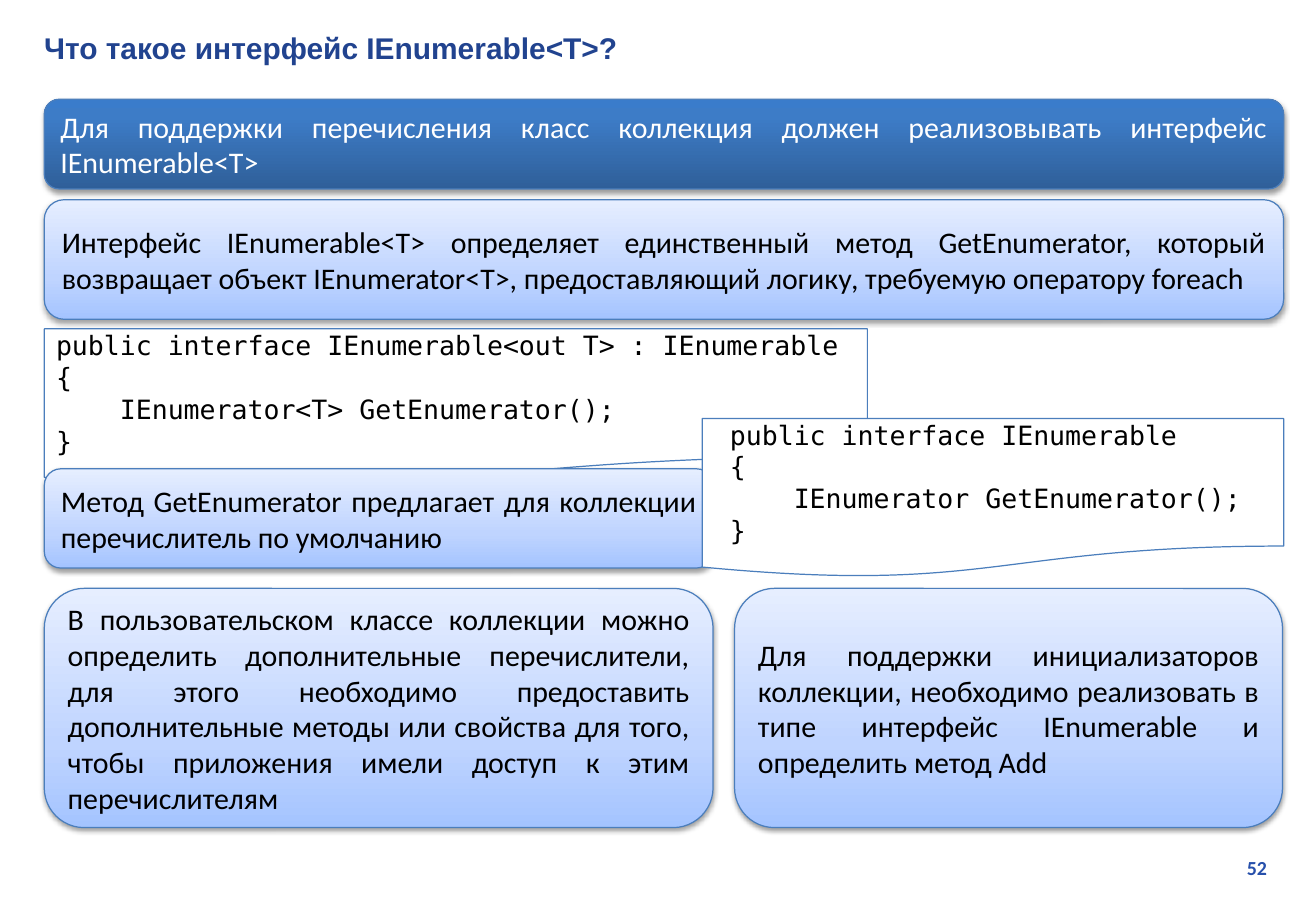
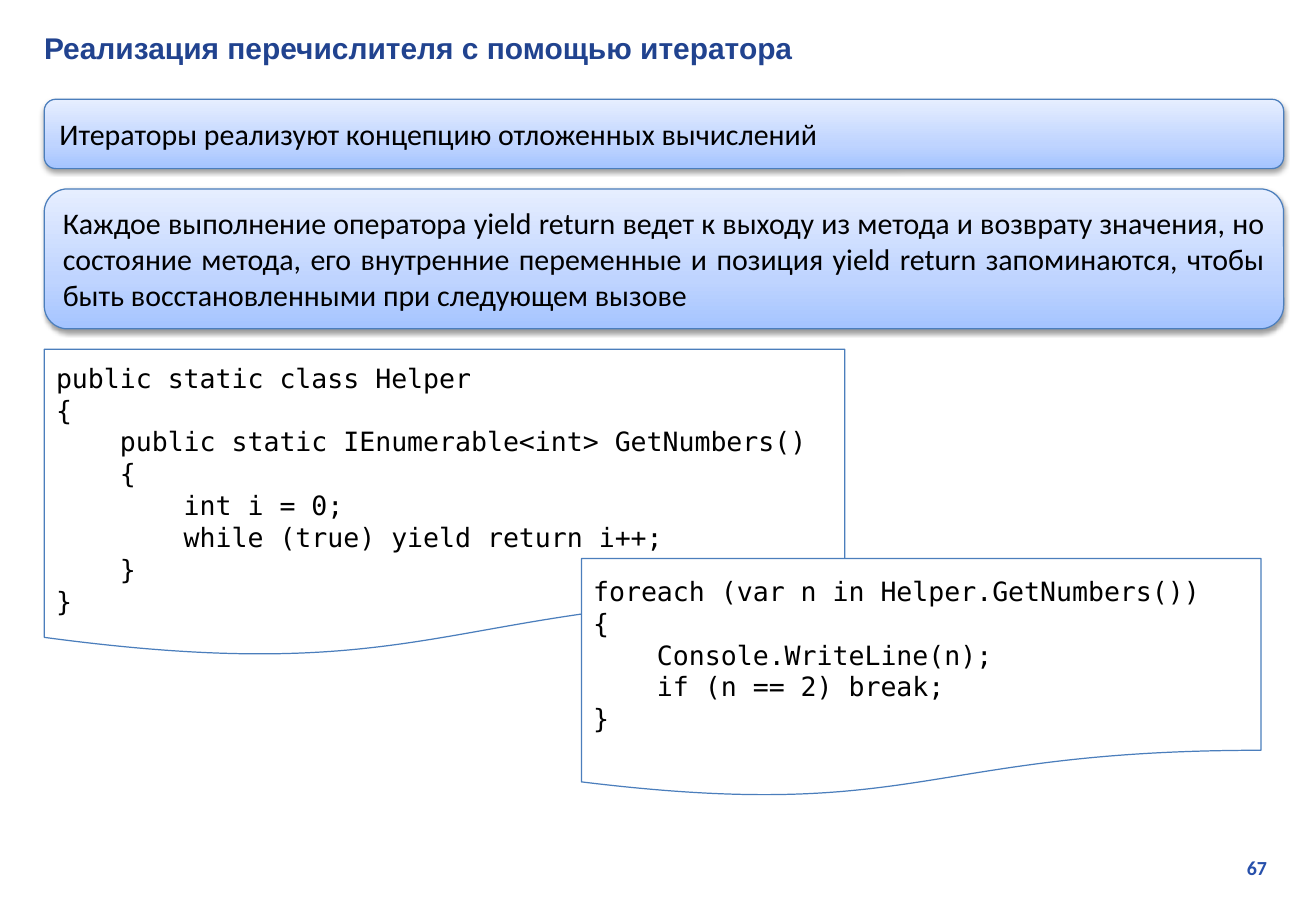
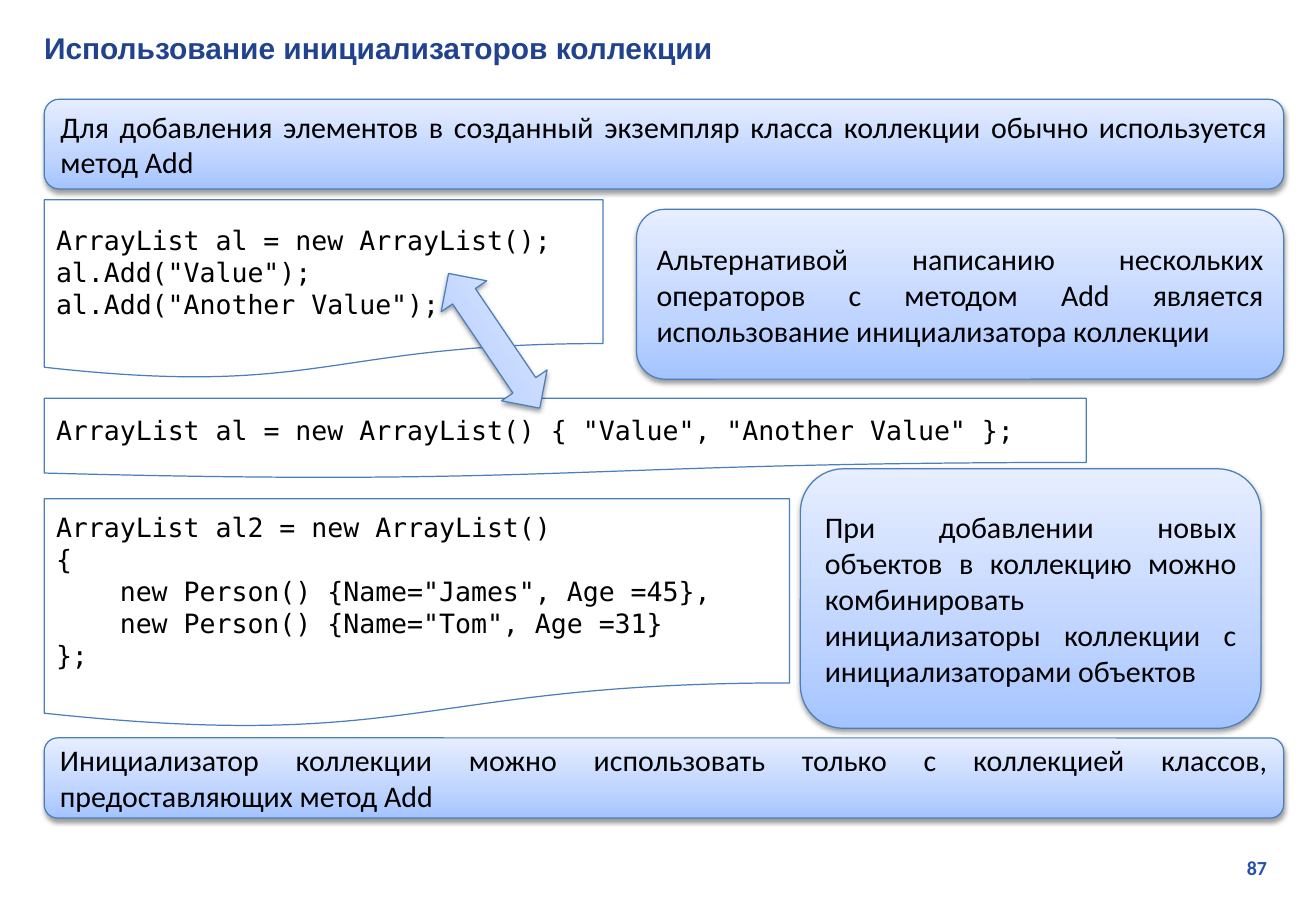
from dataclasses import dataclass

from lxml.etree import SubElement
from pptx import Presentation
from pptx.dml.color import RGBColor
from pptx.enum.shapes import MSO_SHAPE
from pptx.enum.text import MSO_ANCHOR, PP_ALIGN
from pptx.oxml.ns import qn
from pptx.util import Inches, Pt


@dataclass(frozen=True)
class Theme:
    """Colours, fonts and type sizes shared by the slides."""
    title: str = "21438F"
    number: str = "2750AB"
    line: str = "4B7EBC"
    ink: str = "000000"
    paper: str = "FFFFFF"
    light: tuple = ((0, "A4C4FF"), (35, "BFD4FF"), (100, "E6EEFF"))
    dark: tuple = ((0, "2F5F99"), (80, "3D7CC7"), (100, "3A7CCB"))
    head_font: str = "Arial"
    body_font: str = "Calibri"
    code_font: str = "DejaVu Sans Mono"
    body_size: int = 18
    code_size: int = 16
    number_size: int = 12


@dataclass(frozen=True)
class Box:
    """A rectangle in inches."""
    x: float
    y: float
    w: float
    h: float

    def sub(self, dx, dy, w, h):
        """Return a rectangle offset from this one."""
        return Box(self.x + dx, self.y + dy, w, h)

    def row(self, dy, h):
        """Return a full-width row of this rectangle."""
        return self.sub(0, dy, self.w, h)

    def inches(self):
        """Return the rectangle as lengths."""
        return [Inches(v) for v in (self.x, self.y, self.w, self.h)]


T = Theme()
BODY = Box(0.37, 0.83, 10.36, 6.09)
TITLE = Box(0.27, 0.2, 10.5, 0.4)
NUMBER = Box(8.36, 7.1, 2.33, 0.3)


def write(sp, text, font, size, color, align=PP_ALIGN.LEFT, bold=False):
    """Fill a shape with text in one style."""
    tf = sp.text_frame
    tf.word_wrap = True
    tf.vertical_anchor = MSO_ANCHOR.MIDDLE
    tf.text = text
    for p in tf.paragraphs:
        p.alignment = align
        for r in p.runs:
            r.font.name = font
            r.font.size = Pt(size)
            r.font.bold = bold
            r.font.color.rgb = RGBColor.from_string(color)


def outlined(s, kind, box):
    """Add a preset shape with the shared outline."""
    sp = s.shapes.add_shape(kind, *box.inches())
    sp.shadow.inherit = False
    sp.line.color.rgb = RGBColor.from_string(T.line)
    sp.line.width = Pt(0.75)
    return sp


def glossy(s, kind, box, stops=T.light, drop=1.6):
    """Add a shape with a vertical gradient and a soft shadow."""
    sp = outlined(s, kind, box)
    sp.fill.gradient()
    sp.fill.gradient_angle = 90
    spPr = sp.element.spPr
    gs_list = spPr.find(".//" + qn("a:gsLst"))
    gs_list.clear()
    for pos, color in stops:
        gs = SubElement(gs_list, qn("a:gs"), pos=str(pos * 1000))
        SubElement(gs, qn("a:srgbClr"), val=color)
    shadow = SubElement(spPr.find(qn("a:effectLst")), qn("a:outerShdw"),
                        blurRad=str(Pt(3.1)), dist=str(Pt(drop)),
                        dir="5400000", rotWithShape="0")
    clr = SubElement(shadow, qn("a:srgbClr"), val=T.ink)
    SubElement(clr, qn("a:alpha"), val="38000")
    return sp


def panel(s, box, text, color=T.ink, **look):
    """Add a rounded panel of justified text."""
    sp = glossy(s, MSO_SHAPE.ROUNDED_RECTANGLE, box, **look)
    write(sp, text, T.body_font, T.body_size, color, PP_ALIGN.JUSTIFY)


def code(s, box, text, top=0.05):
    """Add a document shape holding a code listing."""
    sp = outlined(s, MSO_SHAPE.FLOWCHART_DOCUMENT, box)
    sp.fill.solid()
    sp.fill.fore_color.rgb = RGBColor.from_string(T.paper)
    write(sp, text, T.code_font, T.code_size, T.ink)
    sp.text_frame.margin_top = Inches(top)


def frame(prs, title, number):
    """Add a slide with its title and page number."""
    s = prs.slides.add_slide(prs.slide_layouts[6])
    write(s.shapes.add_textbox(*NUMBER.inches()), str(number), T.body_font,
          T.number_size, T.number, PP_ALIGN.RIGHT, True)
    write(s.shapes.add_textbox(*TITLE.inches()), title, T.head_font,
          T.body_size, T.title, bold=True)
    return s


def enumerable_body(s, b):
    """Place the interface definitions and their explanations."""
    panel(s, b.row(0, 0.75),
          "Для поддержки перечисления класс коллекция должен реализовывать "
          "интерфейс IEnumerable<T>", T.paper, stops=T.dark, drop=1.8)
    panel(s, b.row(0.84, 1),
          "Интерфейс IEnumerable<T> определяет единственный метод "
          "GetEnumerator, который возвращает объект IEnumerator<T>, "
          "предоставляющий логику, требуемую оператору foreach")
    code(s, b.sub(0, 1.92, 6.88, 1.33), """\
public interface IEnumerable<out T> : IEnumerable
{
    IEnumerator<T> GetEnumerator();
}""")
    panel(s, b.sub(0, 3.09, 5.59, 0.83),
          "Метод GetEnumerator предлагает для коллекции перечислитель "
          "по умолчанию")
    panel(s, b.sub(0, 4.09, 5.59, 2),
          "В пользовательском классе коллекции можно определить "
          "дополнительные перечислители, для этого необходимо предоставить "
          "дополнительные методы или свойства для того, чтобы приложения "
          "имели доступ к этим перечислителям")
    panel(s, b.sub(5.77, 4.09, 4.58, 2),
          "Для поддержки инициализаторов коллекции, необходимо реализовать "
          "в типе интерфейс IEnumerable и определить метод Add")
    code(s, b.sub(5.5, 2.67, 4.86, 1.33), """\
 public interface IEnumerable
 {
     IEnumerator GetEnumerator();
 }""")


def iterator_body(s, b):
    """Place the iterator notes and the two listings."""
    panel(s, b.row(0, 0.58),
          "Итераторы реализуют концепцию отложенных вычислений")
    panel(s, b.row(0.75, 1.17),
          "Каждое выполнение оператора yield return ведет к выходу из метода "
          "и возврату значения, но состояние метода, его внутренние "
          "переменные и позиция yield return запоминаются, чтобы быть "
          "восстановленными при следующем вызове")
    code(s, b.sub(0, 2.09, 6.69, 2.58), """\
public static class Helper
{
    public static IEnumerable<int> GetNumbers()
    {
        int i = 0;
        while (true) yield return i++;
    }
}""", top=0.32)
    code(s, b.sub(4.49, 3.84, 5.68, 2), """\
foreach (var n in Helper.GetNumbers())
{
    Console.WriteLine(n);
    if (n == 2) break;
}""")


def initializer_body(s, b):
    """Place the initializer listings, notes and linking arrow."""
    code(s, b.sub(0, 0.84, 4.67, 1.5), """\
ArrayList al = new ArrayList();
al.Add("Value");
al.Add("Another Value");""")
    panel(s, b.row(0, 0.75),
          "Для добавления элементов в созданный экземпляр класса коллекции "
          "обычно используется метод Add")
    panel(s, b.sub(4.95, 0.92, 5.41, 1.42),
          "Альтернативой написанию нескольких операторов с методом Add "
          "является использование инициализатора коллекции")
    code(s, b.sub(0, 2.5, 8.71, 0.67),
         'ArrayList al = new ArrayList() { "Value", "Another Value" };')
    arrow = glossy(s, MSO_SHAPE.LEFT_RIGHT_ARROW, b.sub(3.08, 1.79, 1.36, 0.46))
    arrow.rotation = 55.9
    code(s, b.sub(0, 3.34, 6.23, 1.92), """\
ArrayList al2 = new ArrayList()
{
    new Person() {Name="James", Age =45},
    new Person() {Name="Tom", Age =31}
};""")
    panel(s, b.sub(6.32, 3.09, 3.85, 2.17),
          "При добавлении новых объектов в коллекцию можно комбинировать "
          "инициализаторы коллекции с инициализаторами объектов")
    panel(s, b.row(5.34, 0.67),
          "Инициализатор коллекции можно использовать только с коллекцией "
          "классов, предоставляющих метод Add")


SLIDES = (
    ("Что такое интерфейс IEnumerable<T>?", 52, enumerable_body),
    ("Реализация перечислителя с помощью итератора", 67, iterator_body),
    ("Использование инициализаторов коллекции", 87, initializer_body),
)


def main():
    """Build and save the presentation."""
    prs = Presentation()
    prs.slide_width, prs.slide_height = Inches(11), Inches(7.5)
    for title, number, fill_body in SLIDES:
        fill_body(frame(prs, title, number), BODY)
    prs.save("out.pptx")


if __name__ == "__main__":
    main()
